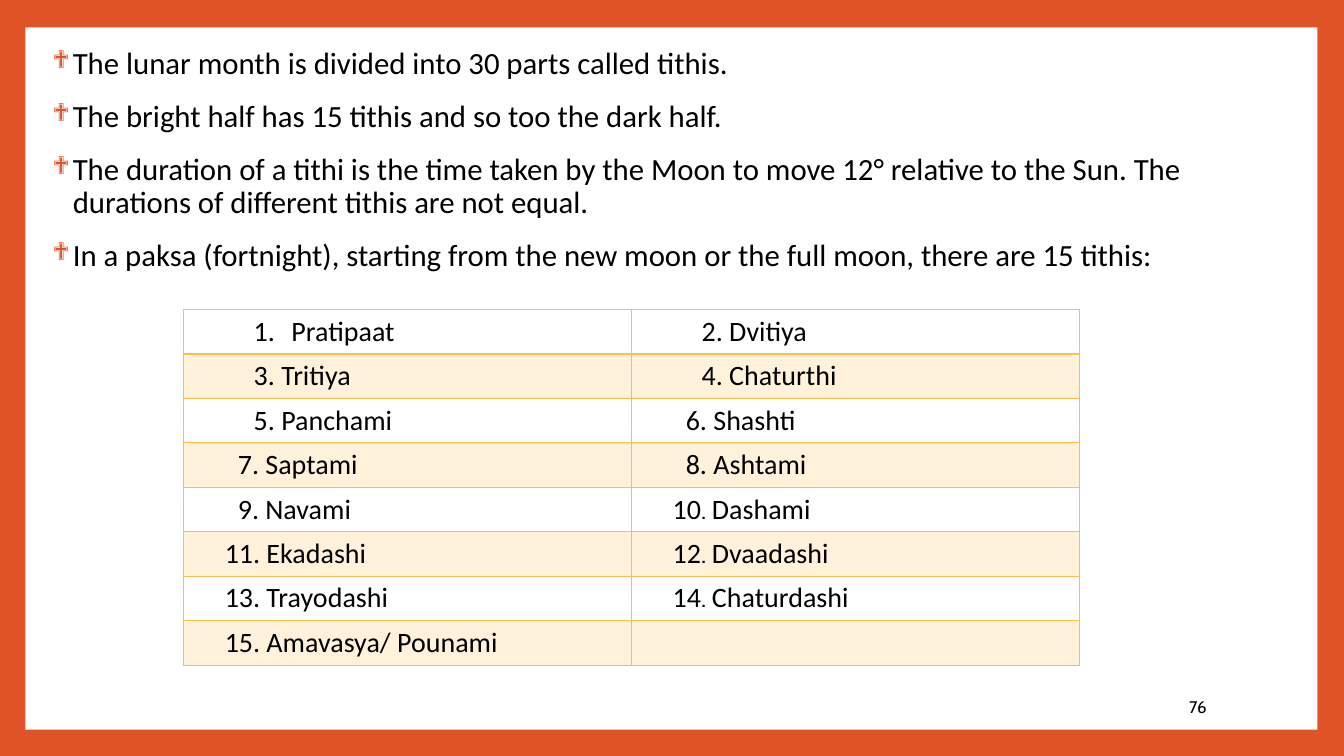
from dataclasses import dataclass
from lxml import etree
from pptx import Presentation
from pptx.dml.color import RGBColor
from pptx.enum.shapes import MSO_SHAPE
from pptx.enum.text import MSO_ANCHOR, MSO_AUTO_SIZE, PP_ALIGN
from pptx.oxml.ns import qn
from pptx.util import Cm, Pt

RECT = MSO_SHAPE.RECTANGLE
MIDDLE = MSO_ANCHOR.MIDDLE
NO_FIT = MSO_AUTO_SIZE.NONE
RIGHT = PP_ALIGN.RIGHT

HUES = {"rust": "DF5327", "gold": "FFBD47", "white": "FFFFFF", "black": "000000"}
POINTS = [
    "The lunar month is divided into 30 parts called tithis.",
    "The bright half has 15 tithis and so too the dark half.",
    "The duration of a tithi is the time taken by the Moon to move 12° relative "
    "to the Sun. The durations of different tithis are not equal.",
    "In a paksa (fortnight), starting from the new moon or the full moon, "
    "there are 15 tithis:",
]
NAMES = [
    "Pratipaat", "Dvitiya", "Tritiya", "Chaturthi", "Panchami",
    "Shashti", "Saptami", "Ashtami", "Navami", "Dashami",
    "Ekadashi", "Dvaadashi", "Trayodashi", "Chaturdashi", "Amavasya/ Pounami",
]
ROWS, COLS = 8, 2


@dataclass
class Tithi:
    num: int
    name: str

    @property
    def left(self) -> float:
        if self.num <= 5:
            return 1.52
        return 1.12 if self.num <= 9 else 0.79


def tint(hue: str) -> RGBColor:
    return RGBColor.from_string(HUES[hue])


def add(parent, tag: str, **attrs: str):
    return etree.SubElement(parent, qn(tag), attrs)


def write(para, text: str, size: int = 20, font: str = "Calibri") -> None:
    run = para.add_run()
    run.text = text
    run.font.size = Pt(size)
    run.font.name = font
    run.font.color.rgb = tint("black")


def indent(para, left: float, first: float = 0):
    props = para._p.get_or_add_pPr()
    props.set("marL", str(Cm(left)))
    props.set("indent", str(Cm(first)))
    return props


def draw_frame(slide) -> None:
    frame = slide.shapes.add_shape(RECT, Cm(0.64), Cm(0.69), Cm(32.56), Cm(17.7))
    frame.shadow.inherit = False
    frame.fill.solid()
    frame.fill.fore_color.rgb = tint("white")
    frame.line.fill.background()
    slide.shapes._spTree.insert(2, frame._element)


def fill_body(body) -> None:
    body.left, body.top = Cm(0.94), Cm(1.09)
    body.width, body.height = Cm(31.83), Cm(17.75)
    body.text_frame.auto_size = NO_FIT
    for i, point in enumerate(POINTS):
        para = body.text_frame.paragraphs[0] if i == 0 else body.text_frame.add_paragraph()
        para.line_spacing = 0.9
        para.space_before = Pt(14)
        props = indent(para, 0.64, -0.51)
        add(add(props, "a:buClr"), "a:srgbClr", val=HUES["rust"])
        add(props, "a:buSzPct", val="80000")
        add(props, "a:buFont", typeface="Wingdings")
        add(props, "a:buChar", char="❖")
        write(para, point, size=22)


def style_cell(cell, row: int) -> None:
    props = cell._tc.get_or_add_tcPr()
    thick = {"a:lnT": row == 1, "a:lnB": row == 0}
    for side in ("a:lnL", "a:lnR", "a:lnT", "a:lnB"):
        edge = add(props, side, w=str(Pt(2 if thick.get(side) else 1)))
        add(add(edge, "a:solidFill"), "a:srgbClr", val=HUES["gold"])
    if row % 2:
        cell.fill.solid()
        cell.fill.fore_color.rgb = tint("gold")
        add(props.find(qn("a:solidFill"))[0], "a:alpha", val="20000")
    else:
        cell.fill.background()


def fill_cell(cell, tithi: Tithi) -> None:
    para = cell.text_frame.paragraphs[0]
    if tithi.num == 1:
        props = indent(para, 2.47, -0.95)
        add(props, "a:buFont", typeface="+mj-lt")
        add(props, "a:buAutoNum", type="arabicPeriod")
        write(para, tithi.name)
        return
    indent(para, tithi.left)
    if tithi.num >= 10 and tithi.num % 2 == 0:
        write(para, str(tithi.num))
        write(para, ". ", size=18, font="Cabin")
        write(para, tithi.name)
    else:
        write(para, f"{tithi.num}. {tithi.name}")


def draw_table(slide) -> None:
    table = slide.shapes.add_table(
        ROWS, COLS, Cm(4.62), Cm(7.8), Cm(22.58), Cm(1.12 * ROWS)
    ).table
    table.first_row = table.horz_banding = False
    for row in range(ROWS):
        for col in range(COLS):
            style_cell(table.cell(row, col), row)
    for i, name in enumerate(NAMES):
        fill_cell(table.cell(*divmod(i, COLS)), Tithi(i + 1, name))


def draw_number(slide) -> None:
    box = slide.shapes.add_textbox(Cm(25.91), Cm(17.3), Cm(4.75), Cm(1.02))
    box.text_frame.word_wrap = True
    box.text_frame.vertical_anchor = MIDDLE
    para = box.text_frame.paragraphs[0]
    para.alignment = RIGHT
    write(para, "76", size=12, font="Cabin")


def main() -> None:
    deck = Presentation()
    deck.slide_width, deck.slide_height = Cm(33.87), Cm(19.05)
    slide = deck.slides.add_slide(deck.slide_layouts[1])
    slide.background.fill.solid()
    slide.background.fill.fore_color.rgb = tint("rust")
    title = slide.shapes.title._element
    title.getparent().remove(title)
    draw_frame(slide)
    fill_body(slide.placeholders[1])
    draw_table(slide)
    draw_number(slide)
    deck.save("out.pptx")


if __name__ == "__main__":
    main()
